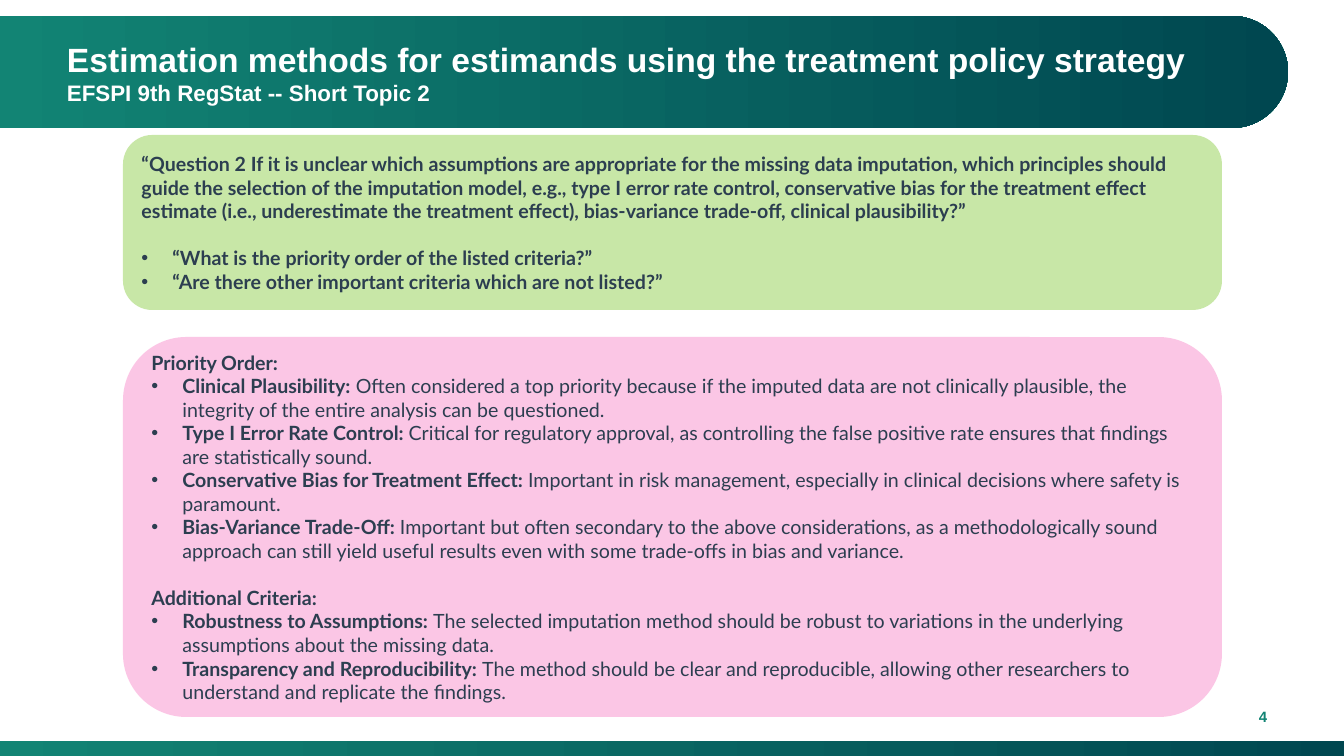
from lxml.etree import SubElement
from pptx import Presentation
from pptx.dml.color import RGBColor
from pptx.enum.shapes import MSO_SHAPE
from pptx.enum.text import MSO_ANCHOR, MSO_AUTO_SIZE, PP_ALIGN
from pptx.oxml.ns import qn
from pptx.util import Emu, Pt

EMU_PER_INCH = 914400
PX_PER_INCH = 100.8
LINE_POINTS = 16.8
INDENT = 31

QUESTION = [
    ("“Question 2 If it is unclear which assumptions are appropriate for the missing data imputation, "
     "which principles should guide the selection of the imputation model, e.g., type I error rate control, "
     "conservative bias for the treatment effect estimate (i.e., underestimate the treatment effect), "
     "bias-variance trade-off, clinical plausibility?”", [
         ("“What is the priority order of the listed criteria?”", ""),
         ("“Are there other important criteria which are not listed?”", ""),
     ]),
]
ANSWER = [
    ("Priority Order:", [
        ("Clinical Plausibility: ",
         "Often considered a top priority because if the imputed data are not clinically plausible, "
         "the integrity of the entire analysis can be questioned."),
        ("Type I Error Rate Control: ",
         "Critical for regulatory approval, as controlling the false positive rate ensures that findings "
         "are statistically sound."),
        ("Conservative Bias for Treatment Effect: ",
         "Important in risk management, especially in clinical decisions where safety is paramount."),
        ("Bias-Variance Trade-Off: ",
         "Important but often secondary to the above considerations, as a methodologically sound approach "
         "can still yield useful results even with some trade-offs in bias and variance."),
    ]),
    ("Additional Criteria:", [
        ("Robustness to Assumptions: ",
         "The selected imputation method should be robust to variations in the underlying assumptions "
         "about the missing data."),
        ("Transparency and Reproducibility: ",
         "The method should be clear and reproducible, allowing other researchers to understand and "
         "replicate the findings."),
    ]),
]


def px(length):
    return Emu(round(length * EMU_PER_INCH / PX_PER_INCH))


def color(code):
    return RGBColor.from_string(code)


def write(paragraph, text, font="Arial", size=14, fill="FFFFFF", bold=True):
    run = paragraph.add_run()
    run.text = text
    run.font.name = font
    run.font.size = Pt(size)
    run.font.bold = bold
    run.font.color.rgb = color(fill)


class SlideBuilder:
    body_font = "Lato"
    body_color = "2C3E50"
    gradient = ("128474", "004750")

    def __init__(self, slide):
        self.slide = slide

    def shape(self, kind, left, top, width, height):
        shape = self.slide.shapes.add_shape(kind, px(left), px(top), px(width), px(height))
        shape.shadow.inherit = False
        shape.line.fill.background()
        return shape

    def gradient_bar(self, kind, left, top, width, height, angle=0):
        bar = self.shape(kind, left, top, width, height)
        bar.fill.gradient()
        bar.fill.gradient_angle = angle
        for stop, code in zip(bar.fill.gradient_stops, self.gradient):
            stop.color.rgb = color(code)
        return bar

    def banner(self, top, length, thickness):
        left = (length - thickness) // 2
        banner = self.gradient_bar(MSO_SHAPE.ROUND_2_SAME_RECTANGLE, left, top - left,
                                   thickness, length, angle=90)
        banner.rotation = 90
        banner.adjustments[0] = 0.5
        banner.adjustments[1] = 0

    def title(self, heading, subheading, left, top, width, height):
        title = self.slide.shapes.title
        title.left, title.top, title.width, title.height = map(px, (left, top, width, height))
        title._element.getparent().append(title._element)
        frame = title.text_frame
        frame.auto_size = MSO_AUTO_SIZE.NONE
        frame.vertical_anchor = MSO_ANCHOR.MIDDLE
        frame.margin_left = 0
        paragraph = frame.paragraphs[0]
        paragraph.alignment = PP_ALIGN.LEFT
        write(paragraph, heading, size=24)
        paragraph.add_line_break()
        write(paragraph, subheading, size=16)

    def page_number(self, number, left, top, width, height):
        box = self.slide.shapes.add_textbox(px(left), px(top), px(width), px(height))
        frame = box.text_frame
        frame.word_wrap = True
        frame.vertical_anchor = MSO_ANCHOR.MIDDLE
        paragraph = frame.paragraphs[0]
        paragraph.alignment = PP_ALIGN.RIGHT
        write(paragraph, number, size=10.7, fill=self.gradient[0])

    def bullet(self, paragraph):
        properties = paragraph._p.get_or_add_pPr()
        properties.set("marL", str(px(INDENT)))
        properties.set("indent", str(-px(INDENT)))
        SubElement(properties, qn("a:buFont"), typeface="Arial")
        SubElement(properties, qn("a:buChar"), char="•")

    def card(self, sections, fill, left, top, width, height, list_gap=0):
        card = self.shape(MSO_SHAPE.ROUNDED_RECTANGLE, left, top, width, height)
        card.fill.solid()
        card.fill.fore_color.rgb = color(fill)
        fill_color = card._element.spPr.find(f"{qn('a:solidFill')}/{qn('a:srgbClr')}")
        SubElement(fill_color, qn("a:alpha"), val="50000")
        frame = card.text_frame
        frame.word_wrap = True
        frame.vertical_anchor = MSO_ANCHOR.MIDDLE
        style = {"font": self.body_font, "fill": self.body_color}
        for section_index, (heading, items) in enumerate(sections):
            paragraph = frame.add_paragraph() if section_index else frame.paragraphs[0]
            paragraph.alignment = PP_ALIGN.LEFT
            if section_index:
                paragraph.space_before = Pt(LINE_POINTS)
            write(paragraph, heading, **style)
            for item_index, (lead, detail) in enumerate(items):
                paragraph = frame.add_paragraph()
                self.bullet(paragraph)
                paragraph.alignment = PP_ALIGN.LEFT
                if list_gap and item_index == 0:
                    paragraph.space_before = Pt(list_gap)
                write(paragraph, lead, **style)
                if detail:
                    write(paragraph, detail, bold=False, **style)


def main():
    presentation = Presentation()
    presentation.slide_width = px(1344)
    presentation.slide_height = px(756)
    builder = SlideBuilder(presentation.slides.add_slide(presentation.slide_layouts[5]))
    builder.banner(16, 1288, 112)
    builder.gradient_bar(MSO_SHAPE.RECTANGLE, 0, 741, 1344, 15)
    builder.page_number("4", 964, 701, 313, 31)
    builder.title("Estimation methods for estimands using the treatment policy strategy",
                  "EFSPI 9th RegStat -- Short Topic 2", 67, 20, 1164, 104)
    builder.card(QUESTION, "92D050", 123, 135, 1099, 175, list_gap=LINE_POINTS)
    builder.card(ANSWER, "F98FCC", 123, 337, 1099, 380)
    presentation.save("out.pptx")


if __name__ == "__main__":
    main()
